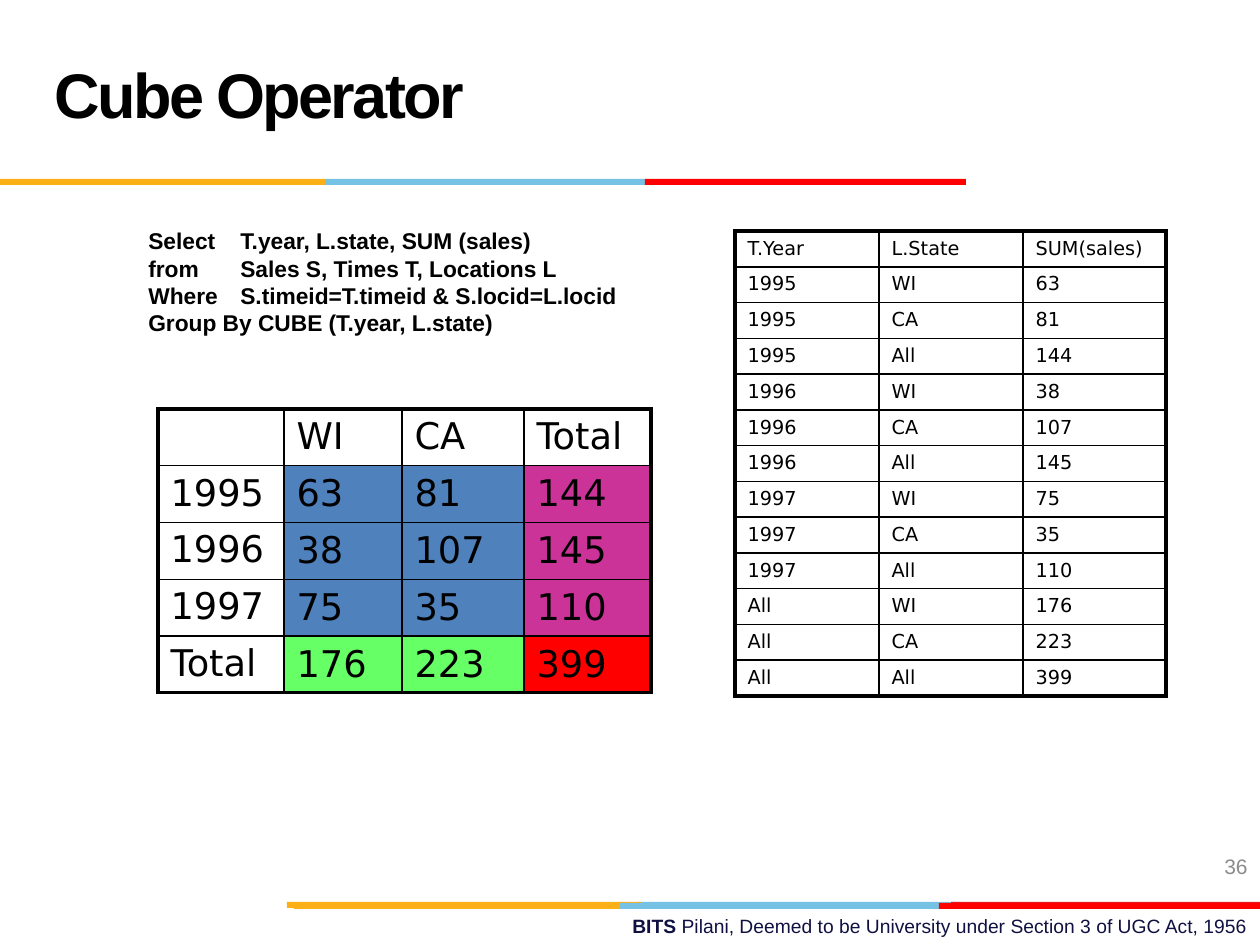
from dataclasses import dataclass
from typing import NamedTuple

from lxml.etree import SubElement
from pptx import Presentation
from pptx.dml.color import RGBColor as RGB
from pptx.enum.shapes import MSO_SHAPE as Shape
from pptx.enum.text import MSO_ANCHOR as Anchor, MSO_AUTO_SIZE as AutoSize, PP_ALIGN as Align
from pptx.oxml.ns import qn
from pptx.util import Emu, Pt

EMU_PER_PX = 914400 / 126


@dataclass(frozen=True)
class Theme:
    sans: str = "Arial"
    table_font: str = "DejaVu Sans"
    black: str = "000000"
    navy: str = "101141"
    grey: str = "8C8C8C"
    gold: str = "FCB017"
    sky: str = "76C2E5"
    crimson: str = "E31C24"
    red: str = "FF0000"
    blue: str = "4F81BD"
    magenta: str = "CC3399"
    green: str = "66FF66"
    title_size: int = 36
    cube_size: int = 21
    query_size: int = 13
    number_size: int = 12
    small_size: int = 11
    outer_line: float = 2.25
    inner_line: float = 1


THEME = Theme()


class Box(NamedTuple):
    left: int
    top: int
    width: int
    height: int


class Bar(NamedTuple):
    left: int
    top: int
    width: int
    color: str


class Grid(NamedTuple):
    left: int
    top: int
    height: int
    columns: tuple[int, ...]
    rows: list[tuple[str, ...]]
    size: int


BAR_HEIGHT = 6
BARS = [
    Bar(638, 902, 321, THEME.sky),
    Bar(951, 902, 309, THEME.crimson),
    Bar(287, 902, 355, THEME.gold),
    Bar(620, 903, 321, THEME.sky),
    Bar(294, 903, 326, THEME.gold),
    Bar(939, 903, 321, THEME.red),
    Bar(325, 179, 321, THEME.sky),
    Bar(0, 179, 325, THEME.gold),
    Bar(645, 179, 321, THEME.red),
]

QUERY_TAB = 92
QUERY = [
    "Select\tT.year, L.state, SUM (sales)",
    "from\tSales S, Times T, Locations L",
    "Where\tS.timeid=T.timeid & S.locid=L.locid",
    "Group By CUBE (T.year, L.state)",
]

CUBE = Grid(158, 409, 279, (126, 118, 122, 127), [
    ("", "WI", "CA", "Total"),
    ("1995", "63", "81", "144"),
    ("1996", "38", "107", "145"),
    ("1997", "75", "35", "110"),
    ("Total", "176", "223", "399"),
], THEME.cube_size)


def flatten(cube: Grid) -> list[tuple[str, ...]]:
    """List every cube cell as a (year, state, sum) row, with All for totals."""
    states, *years = cube.rows
    return [
        tuple("All" if text == "Total" else text for text in (year, state, total))
        for year, *totals in years
        for state, total in zip(states[1:], totals)
    ]


RESULT = Grid(735, 231, 464, (144, 144, 143),
              [("T.Year", "L.State", "SUM(sales)"), *flatten(CUBE)], THEME.small_size)


def px(length: int) -> Emu:
    return Emu(round(length * EMU_PER_PX))


def write(para, text: str, *, size: float, color: str = THEME.black,
          font: str = THEME.sans, bold: bool = False):
    span = para.add_run()
    span.text = text
    span.font.name = font
    span.font.size = Pt(size)
    span.font.bold = bold
    span.font.color.rgb = RGB.from_string(color)
    return span


def add_box(page, box: Box, align: Align = Align.LEFT, anchor: Anchor = Anchor.TOP):
    frame = page.shapes.add_textbox(*map(px, box)).text_frame
    frame.word_wrap = True
    frame.vertical_anchor = anchor
    frame.paragraphs[0].alignment = align
    return frame


def add_bar(page, bar: Bar) -> None:
    shape = page.shapes.add_shape(
        Shape.RECTANGLE, px(bar.left), px(bar.top), px(bar.width), px(BAR_HEIGHT))
    shape.shadow.inherit = False
    shape.fill.solid()
    shape.fill.fore_color.rgb = RGB.from_string(bar.color)
    shape.line.fill.background()


def set_title(page, text: str) -> None:
    title = page.shapes.title
    title.left, title.top, title.width, title.height = map(px, Box(42, 21, 872, 158))
    frame = title.text_frame
    frame.auto_size = AutoSize.NONE
    frame.vertical_anchor = Anchor.MIDDLE
    para = frame.paragraphs[0]
    para.alignment = Align.LEFT
    para.line_spacing = Pt(THEME.title_size)
    span = write(para, text, size=THEME.title_size, bold=True)
    span.font._element.set("spc", "-150")


def add_query(page) -> None:
    frame = add_box(page, Box(136, 221, 630, 200))
    for index, line in enumerate(QUERY):
        para = frame.add_paragraph() if index else frame.paragraphs[0]
        tabs = SubElement(para._p.get_or_add_pPr(), qn("a:tabLst"))
        SubElement(tabs, qn("a:tab"), pos=str(px(QUERY_TAB)), algn="l")
        write(para, line, size=THEME.query_size, bold=True)


def set_borders(cell, outer: dict[str, bool]) -> None:
    """Draw each side heavy where it lies on the table's edge, thin elsewhere."""
    properties = cell._tc.get_or_add_tcPr()
    for side, on_edge in outer.items():
        width = THEME.outer_line if on_edge else THEME.inner_line
        line = SubElement(properties, qn(f"a:ln{side}"), w=str(Pt(width)))
        fill = SubElement(line, qn("a:solidFill"))
        SubElement(fill, qn("a:srgbClr"), val=THEME.black)


def add_grid(page, grid: Grid):
    last_row, last_column = len(grid.rows) - 1, len(grid.columns) - 1
    table = page.shapes.add_table(
        len(grid.rows), len(grid.columns), px(grid.left), px(grid.top),
        px(sum(grid.columns)), px(grid.height)).table
    table.first_row = table.horz_banding = False
    for column, width in zip(table.columns, grid.columns):
        column.width = px(width)
    for r, texts in enumerate(grid.rows):
        table.rows[r].height = Emu(px(grid.height) // len(grid.rows))
        for c, text in enumerate(texts):
            cell = table.cell(r, c)
            set_borders(cell, {"L": c == 0, "R": c == last_column,
                               "T": r == 0, "B": r == last_row})
            cell.fill.background()
            if text:
                write(cell.text_frame.paragraphs[0], text,
                      size=grid.size, font=THEME.table_font)
    return table


def color_cube(table) -> None:
    """Colour the sums by whether they total over years, states or both."""
    last_row, last_column = len(table.rows) - 1, len(table.columns) - 1
    colors = {(False, False): THEME.blue, (False, True): THEME.magenta,
              (True, False): THEME.green, (True, True): THEME.red}
    for r in range(1, last_row + 1):
        for c in range(1, last_column + 1):
            cell = table.cell(r, c)
            cell.vertical_anchor = Anchor.MIDDLE
            cell.fill.solid()
            cell.fill.fore_color.rgb = RGB.from_string(colors[r == last_row, c == last_column])


def main() -> None:
    deck = Presentation()
    deck.slide_width, deck.slide_height = px(1260), px(945)
    page = deck.slides.add_slide(deck.slide_layouts.get_by_name("Title Only"))

    footer = add_box(page, Box(451, 908, 809, 37), Align.RIGHT).paragraphs[0]
    write(footer, "BITS ", size=THEME.small_size, color=THEME.navy, bold=True)
    write(footer, "Pilani, Deemed to be University under Section 3 of UGC Act, 1956",
          size=THEME.small_size, color=THEME.navy)
    for bar in BARS:
        add_bar(page, bar)

    set_title(page, "Cube Operator")
    number = add_box(page, Box(966, 841, 294, 50), Align.RIGHT, Anchor.MIDDLE)
    write(number.paragraphs[0], "36", size=THEME.number_size, color=THEME.grey)
    add_query(page)
    color_cube(add_grid(page, CUBE))
    add_grid(page, RESULT)
    deck.save("out.pptx")


if __name__ == "__main__":
    main()
